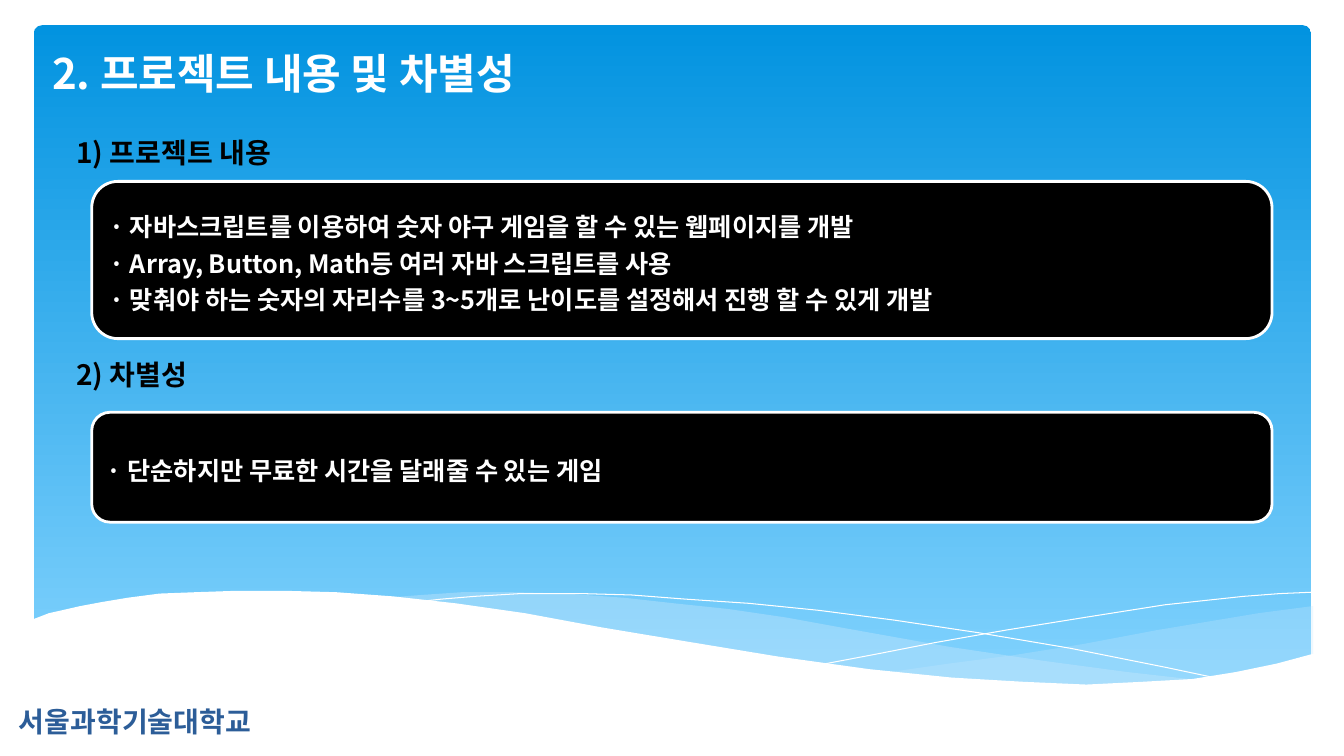
from lxml import etree
from pptx import Presentation
from pptx.dml.color import RGBColor
from pptx.enum.shapes import MSO_SHAPE
from pptx.enum.text import MSO_ANCHOR, PP_ALIGN
from pptx.oxml.ns import qn
from pptx.util import Pt

ROUNDED = MSO_SHAPE.ROUNDED_RECTANGLE
TOP, MIDDLE = MSO_ANCHOR.TOP, MSO_ANCHOR.MIDDLE
LEFT = PP_ALIGN.LEFT
FONT = "Noto Sans CJK KR"


def color(hex_code):
    return RGBColor.from_string(hex_code)


def write(shape, lines, size, ink, spacing=0.9, before=10, anchor=TOP):
    frame = shape.text_frame
    frame.word_wrap = True
    frame.vertical_anchor = anchor
    for index, line in enumerate(lines):
        paragraph = frame.paragraphs[0] if index == 0 else frame.add_paragraph()
        paragraph.alignment = LEFT
        paragraph.line_spacing = spacing
        paragraph.space_before = Pt(before)
        run = paragraph.add_run()
        run.text = line
        run.font.size = Pt(size)
        run.font.bold = True
        run.font.name = FONT
        run.font.color.rgb = color(ink)
        east_asian = etree.SubElement(run.font._element, qn("a:ea"))
        east_asian.set("typeface", FONT)


prs = Presentation()
prs.slide_width, prs.slide_height = Pt(960), Pt(540)
slide = prs.slides.add_slide(prs.slide_layouts[6])
shapes = slide.shapes

# Blue gradient panel
panel = shapes.add_shape(ROUNDED, Pt(24), Pt(18), Pt(912.7), Pt(475.2))
panel.adjustments[0] = 0.013
panel.shadow.inherit = False
panel.line.fill.background()
panel.fill.gradient()
panel.fill.gradient_angle = 270
for stop, shade, position in zip(panel.fill.gradient_stops, ("0293E0", "83D3FE"), (0, 1)):
    stop.color.rgb = color(shade)
    stop.position = position

# Waves at the foot of the panel: fill, opacity in percent, outline in points
right_wave = [
    (937.4, 432.7), (898.6, 438.5), (856.8, 445), (827.3, 450), (774, 460.1),
    (724.3, 468), (678.2, 474.5), (635.8, 480.2), (663.8, 483.1), (703.4, 486.7),
    (739.4, 488.9), (782.6, 489.6), (820.8, 488.2), (854.6, 485.3), (884.9, 480.2),
    (912.2, 474.5), (938.2, 467.3), (938.2, 432.7)]
middle_wave = [
    (858.2, 486), (805, 480.2), (745.2, 472.3), (678.2, 462.2), (604.8, 449.3),
    (560.9, 441.4), (519.8, 434.9), (482.4, 430.6), (446.4, 427), (403.9, 424.1),
    (365, 422.6), (330.5, 423.4), (301, 424.8), (275, 427), (310.3, 430.6),
    (348.5, 434.9), (388.8, 441.4), (432, 449.3), (509, 462.2), (578.2, 473),
    (639.4, 481), (694.1, 486.7), (743, 488.9), (786.2, 489.6), (824.4, 488.9)]
falling_line = [
    (297.4, 429.8), (315.4, 427.7), (339.1, 425.5), (372.2, 424.1), (415.4, 424.1),
    (450.7, 424.8), (490.3, 427.7), (535, 430.6), (584.6, 436.3), (639.4, 442.8),
    (699.1, 452.2), (763.9, 463), (834.5, 476.6), (871.9, 484.6)]
rising_line = [
    (589.7, 474.5), (627.1, 466.6), (668.2, 458.6), (718.6, 450), (774.7, 440.6),
    (832.3, 432), (860.4, 429.1), (887.8, 426.2), (913.7, 424.1), (937.4, 422.6)]
white_wave = [
    (938.2, 466.6), (911.5, 473.8), (883.4, 480.2), (851.8, 484.6), (816.5, 487.4),
    (776.2, 488.9), (730.8, 487.4), (679.7, 483.8), (621.4, 478.1), (555.8, 468.7),
    (483.1, 457.2), (429.1, 447.8), (375.1, 438.5), (326.2, 431.3), (280.8, 426.2),
    (239.8, 423.4), (203, 421.9), (169.2, 421.9), (139.7, 422.6), (113.8, 424.1),
    (91.4, 427), (72.7, 429.8), (56.9, 432.7), (43.9, 435.6), (34.6, 438.5),
    (22.3, 442.8), (22.3, 526.3), (938.2, 526.3)]

for points, fill, opacity in [
    (right_wave, "C6E7FC", 29),
    (middle_wave, "C6E7FC", 40),
    (falling_line, None, 100),
    (rising_line, None, 100),
    (white_wave, "FFFFFF", 100),
]:
    outline = shapes.build_freeform(*points[0], scale=Pt(1))
    outline.add_line_segments(points[1:], close=fill is not None)
    wave = outline.convert_to_shape()
    wave.shadow.inherit = False
    if fill:
        wave.fill.solid()
        wave.fill.fore_color.rgb = color(fill)
        wave.line.fill.background()
        if opacity < 100:
            tint = wave.fill._xPr.find(qn("a:solidFill"))[0]
            etree.SubElement(tint, qn("a:alpha")).set("val", str(opacity * 1000))
    else:
        wave.fill.background()
        wave.line.color.rgb = color("FFFFFF")
        wave.line.width = Pt(0)

# Title, section headings and school name
for text, left, top, width, height, size, ink in [
    ("서울과학기술대학교", 6.5, 502.6, 343.4, 31, 20, "2C5D98"),
    ("2. 프로젝트 내용 및 차별성", 30.2, 34.6, 549.4, 42.5, 30, "FFFFFF"),
    ("1) 프로젝트 내용", 47.5, 95.8, 302.4, 40.3, 20, "000000"),
    ("2) 차별성", 47.5, 254.2, 302.4, 40.3, 20, "000000"),
]:
    heading = shapes.add_textbox(Pt(left), Pt(top), Pt(width), Pt(height))
    write(heading, [text], size, ink)

# Black boxes with the points of each section
for top, height, lines in [
    (129.6, 112.3, [
        "· 자바스크립트를 이용하여 숫자 야구 게임을 할 수 있는 웹페이지를 개발",
        "· Array, Button, Math등 여러 자바 스크립트를 사용",
        "· 맞춰야 하는 숫자의 자리수를 3~5개로 난이도를 설정해서 진행 할 수 있게 개발"]),
    (294.5, 78.5, ["· 단순하지만 무료한 시간을 달래줄 수 있는 게임"]),
]:
    box = shapes.add_shape(ROUNDED, Pt(65.5), Pt(top), Pt(843.1), Pt(height))
    box.shadow.inherit = False
    box.fill.solid()
    box.fill.fore_color.rgb = color("000000")
    box.line.color.rgb = color("FFFFFF")
    box.line.width = Pt(2)
    write(box, lines, 18, "FFFFFF", spacing=1.2, before=0, anchor=MIDDLE)

prs.save("out.pptx")
